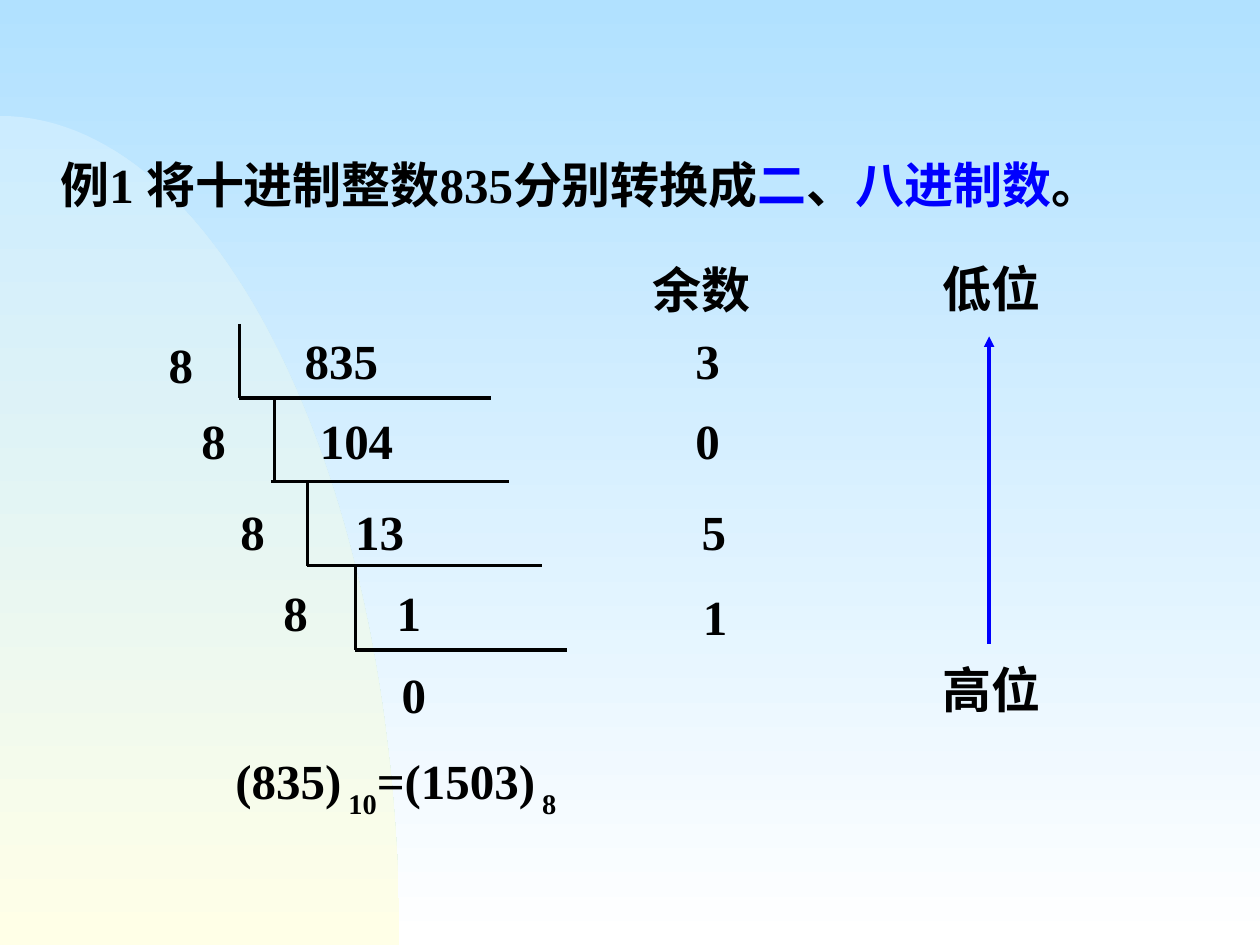
from dataclasses import dataclass

from lxml import etree
from pptx import Presentation
from pptx.dml.color import RGBColor
from pptx.enum.shapes import MSO_CONNECTOR
from pptx.enum.text import MSO_ANCHOR, MSO_AUTO_SIZE, PP_ALIGN
from pptx.oxml.ns import qn
from pptx.util import Inches, Pt

STRAIGHT = MSO_CONNECTOR.STRAIGHT
TOP = MSO_ANCHOR.TOP
GROW = MSO_AUTO_SIZE.SHAPE_TO_FIT_TEXT
JUSTIFY = PP_ALIGN.JUSTIFY


@dataclass(frozen=True)
class Theme:
    ink: str = "000000"
    accent: str = "0000FF"
    sky: tuple[str, str] = ("B1E1FF", "FFFFFF")
    hill: tuple[str, str] = ("CCECFF", "FFFFE7")
    latin: str = "Times New Roman"
    cjk: str = "Noto Sans CJK SC"
    size: int = 28
    line: int = 2
    heading_spacing: float = 1.15
    label_spacing: float = 0.7


@dataclass(frozen=True)
class Span:
    text: str
    color: str
    baseline: int = 0


@dataclass(frozen=True)
class Label:
    text: str
    left: float
    top: float
    width: float


@dataclass(frozen=True)
class Division:
    bar: float
    top: float
    bottom: float
    rule_left: float
    rule_right: float
    divisor: Label
    quotient: Label
    remainder: Label


THEME = Theme()
LABEL_HEIGHT = 0.43

HEADING = [
    Span("例1 将十进制整数835分别转换成", THEME.ink),
    Span("二", THEME.accent),
    Span("、", THEME.ink),
    Span("八进制数", THEME.accent),
    Span("。", THEME.ink),
]
DIVISIONS = [
    Division(1.9, 2.57, 3.16, 1.9, 3.9, Label("8", 1.24, 2.73, 0.67),
             Label("835", 2.32, 2.7, 1.25), Label("3", 5.42, 2.7, 0.67)),
    Division(2.18, 3.16, 3.82, 2.15, 4.04, Label("8", 1.5, 3.34, 0.66),
             Label("104", 2.44, 3.34, 1.23), Label("0", 5.42, 3.34, 0.67)),
    Division(2.44, 3.82, 4.49, 2.44, 4.3, Label("8", 1.81, 4.06, 0.55),
             Label("13", 2.72, 4.06, 1.04), Label("5", 5.47, 4.06, 0.67)),
    Division(2.82, 4.49, 5.16, 2.82, 4.5, Label("8", 2.15, 4.7, 0.67),
             Label("1", 3.05, 4.7, 1.25), Label("1", 5.48, 4.73, 0.67)),
]
CAPTIONS = [
    Label("0", 3.09, 5.35, 0.67),
    Label("余数", 5.08, 2.14, 1.05),
    Label("低位", 7.38, 2.13, 1.25),
    Label("高位", 7.38, 5.31, 1.67),
]
RESULT = [
    Span("(835)", THEME.ink),
    Span(" 10", THEME.ink, -30),
    Span("=(1503)", THEME.ink),
    Span(" 8", THEME.ink, -30),
]


def paint_gradient(fill, colors: tuple[str, str]) -> None:
    fill.gradient()
    fill.gradient_angle = 270
    for stop, color in zip(fill.gradient_stops, colors):
        stop.color.rgb = RGBColor.from_string(color)


def write_spans(shape, spans: list[Span], spacing: float) -> None:
    frame = shape.text_frame
    frame.word_wrap = True
    frame.auto_size = GROW
    frame.vertical_anchor = TOP
    paragraph = frame.paragraphs[0]
    paragraph.line_spacing = spacing
    for span in spans:
        run = paragraph.add_run()
        run.text = span.text
        run.font.size = Pt(THEME.size)
        run.font.bold = True
        run.font.name = THEME.latin
        run.font.color.rgb = RGBColor.from_string(span.color)
        properties = run.font._element
        etree.SubElement(properties, qn("a:ea"), typeface=THEME.cjk)
        if span.baseline:
            properties.set("baseline", str(span.baseline * 1000))


def add_spans(slide, spans: list[Span], left: float, top: float,
              width: float, height: float) -> None:
    box = slide.shapes.add_textbox(Inches(left), Inches(top),
                                   Inches(width), Inches(height))
    write_spans(box, spans, THEME.label_spacing)


def add_label(slide, label: Label) -> None:
    add_spans(slide, [Span(label.text, THEME.ink)],
              label.left, label.top, label.width, LABEL_HEIGHT)


def add_line(slide, start: tuple[float, float], end: tuple[float, float],
             color: str, arrow: bool = False) -> None:
    line = slide.shapes.add_connector(
        STRAIGHT, *(Inches(value) for value in start + end))
    line.line.color.rgb = RGBColor.from_string(color)
    line.line.width = Pt(THEME.line)
    if arrow:
        etree.SubElement(line.line._get_or_add_ln(), qn("a:tailEnd"), type="triangle")
    etree.SubElement(line._element.spPr, qn("a:effectLst"))


def add_division(slide, division: Division) -> None:
    add_line(slide, (division.bar, division.top),
             (division.bar, division.bottom), THEME.ink)
    add_line(slide, (division.rule_left, division.bottom),
             (division.rule_right, division.bottom), THEME.ink)
    for label in (division.divisor, division.quotient, division.remainder):
        add_label(slide, label)


def bezier(t: float, a: float, b: float, c: float, d: float) -> float:
    u = 1 - t
    return u**3 * a + 3 * u**2 * t * b + 3 * u * t**2 * c + t**3 * d


def add_hill(slide) -> None:
    steps = 60
    edge = [(Inches(bezier(i / steps, 0, 1.75, 3.17, 3.17)),
             Inches(bezier(i / steps, 0.92, 0.92, 3.87, 7.5)))
            for i in range(steps + 1)]
    builder = slide.shapes.build_freeform(*edge[0])
    builder.add_line_segments(edge[1:] + [(0, Inches(7.5))], close=True)
    hill = builder.convert_to_shape()
    hill.shadow.inherit = False
    hill.line.fill.background()
    paint_gradient(hill.fill, THEME.hill)
    slide.shapes._spTree.insert(2, hill._element)


def add_heading(slide) -> None:
    heading = slide.shapes.title
    heading.left, heading.top = Inches(0.38), Inches(1.11)
    heading.width, heading.height = Inches(8.67), Inches(0.64)
    write_spans(heading, HEADING, THEME.heading_spacing)
    heading.text_frame.paragraphs[0].alignment = JUSTIFY


def main() -> None:
    deck = Presentation()
    deck.slide_width, deck.slide_height = Inches(10), Inches(7.5)
    slide = deck.slides.add_slide(deck.slide_layouts[5])
    paint_gradient(slide.background.fill, THEME.sky)
    add_hill(slide)
    add_heading(slide)
    for division in DIVISIONS:
        add_division(slide, division)
    for caption in CAPTIONS:
        add_label(slide, caption)
    add_line(slide, (7.85, 5.11), (7.85, 2.67), THEME.accent, arrow=True)
    add_spans(slide, RESULT, 1.77, 5.99, 4.56, 0.49)
    deck.save("out.pptx")


if __name__ == "__main__":
    main()
